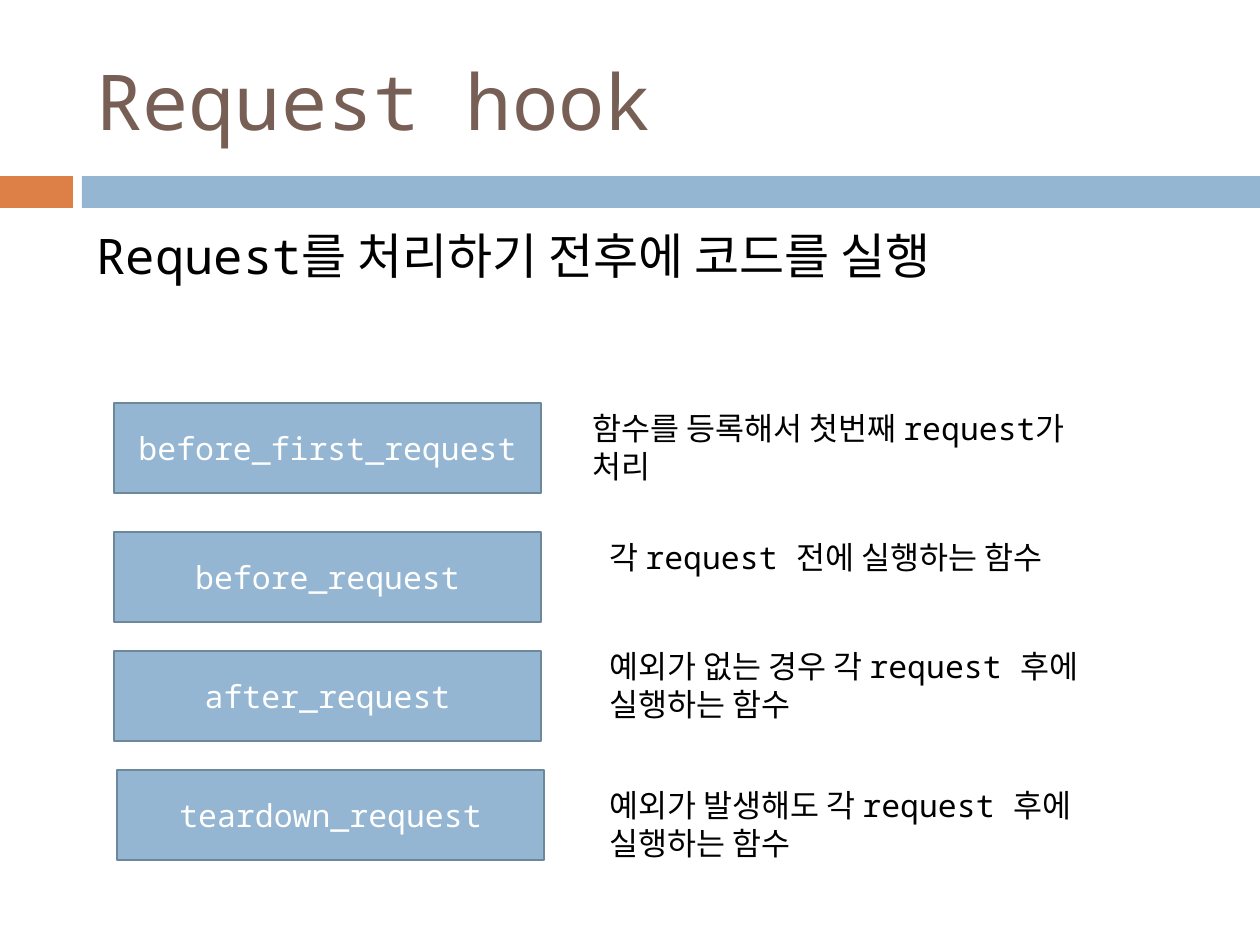
import pptx
import pptx.dml.color
import pptx.enum.shapes
import pptx.enum.text
import pptx.util

EMU_PER_PX = 914400 / 126
FONT = "Noto Sans Mono"
COLORS = {
    "accent": "DD8047",
    "blue": "94B6D2",
    "outline": "6D879B",
    "title": "775F55",
    "text": "000000",
    "label": "FFFFFF",
}
ANCHOR = pptx.enum.text.MSO_ANCHOR
ALIGN = pptx.enum.text.PP_ALIGN

# Hook name, box left and top, description, description left and top
HOOKS = [
    ("before_first_request", 114, 403, "함수를 등록해서 첫번째 request가 처리", 580, 403),
    ("before_request", 114, 532, "각 request 전에 실행하는 함수", 597, 532),
    ("after_request", 114, 651, "예외가 없는 경우 각 request 후에 실행하는 함수", 597, 641),
    ("teardown_request", 117, 770, "예외가 발생해도 각 request 후에 실행하는 함수", 597, 780),
]


def px(value):
    return pptx.util.Emu(round(value * EMU_PER_PX))


def color(name):
    return pptx.dml.color.RGBColor.from_string(COLORS[name])


def write(shape, text, size, color_name, align=ALIGN.LEFT, anchor=ANCHOR.TOP):
    frame = shape.text_frame
    frame.word_wrap = True
    frame.vertical_anchor = anchor
    para = frame.paragraphs[0]
    para.alignment = align
    span = para.add_run()
    span.text = text
    span.font.size = pptx.util.Pt(size)
    span.font.name = FONT
    span.font.color.rgb = color(color_name)


def add_text(page, bounds, text, size, color_name="text", anchor=ANCHOR.TOP, grow=True):
    box = page.shapes.add_textbox(*map(px, bounds))
    write(box, text, size, color_name, anchor=anchor)
    if grow:
        box.text_frame.auto_size = pptx.enum.text.MSO_AUTO_SIZE.SHAPE_TO_FIT_TEXT


def add_bar(page, bounds, fill):
    bar = page.shapes.add_shape(
        pptx.enum.shapes.MSO_SHAPE.RECTANGLE, *map(px, bounds))
    bar.shadow.inherit = False
    bar.fill.solid()
    bar.fill.fore_color.rgb = color(fill)
    bar.line.fill.background()
    return bar


def add_hook(page, name, left, top):
    box = add_bar(page, (left, top, 427, 90), "blue")
    box.line.color.rgb = color("outline")
    box.line.width = pptx.util.Pt(1.5)
    write(box, name, 18, "label", ALIGN.CENTER, ANCHOR.MIDDLE)


def main():
    deck = pptx.Presentation()
    deck.slide_width, deck.slide_height = px(1260), px(945)
    page = deck.slides.add_slide(deck.slide_layouts[6])

    # Divider bars
    add_bar(page, (0, 176, 73, 32), "accent")
    add_bar(page, (82, 176, 1178, 32), "blue")

    # Title and summary
    add_text(page, (84, 32, 1124, 136), "Request hook", 44, "title",
             ANCHOR.MIDDLE, grow=False)
    add_text(page, (84, 219, 1101, 72), "Request를 처리하기 전후에 코드를 실행", 28)

    # Hooks with their descriptions
    for name, left, top, description, text_left, text_top in HOOKS:
        add_hook(page, name, left, top)
        add_text(page, (text_left, text_top, 507, 90), description, 18)

    deck.save("out.pptx")


if __name__ == "__main__":
    main()
